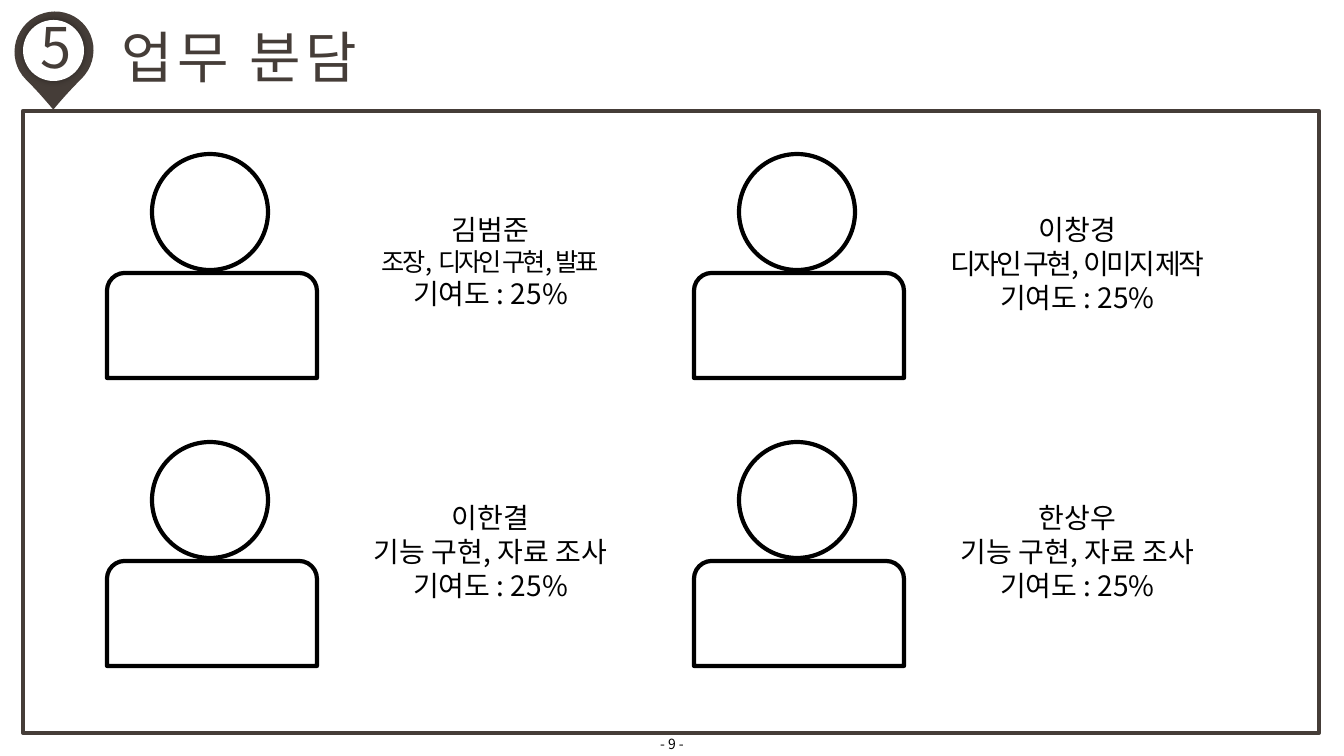
from lxml.etree import SubElement
from pptx import Presentation
from pptx.dml.color import RGBColor
from pptx.enum.shapes import MSO_SHAPE
from pptx.enum.text import MSO_ANCHOR, MSO_AUTO_SIZE, PP_ALIGN
from pptx.oxml.ns import qn
from pptx.util import Pt

PX = 914400 / 100.8
FONT = "Noto Sans CJK KR"
BROWN, BLACK, WHITE = "453D38", "000000", "FFFFFF"


def add_outline(kind, bounds, fill=None, line=None):
    """Add a shape at pixel bounds with an optional fill and 3 pt line."""
    shape = slide.shapes.add_shape(kind, *[round(v * PX) for v in bounds])
    shape.shadow.inherit = False
    if fill:
        shape.fill.solid()
        shape.fill.fore_color.rgb = RGBColor.from_string(fill)
    else:
        shape.fill.background()
    if line:
        shape.line.color.rgb = RGBColor.from_string(line)
        shape.line.width = Pt(3)
    else:
        shape.line.fill.background()
    return shape


def write(box, bounds, lines, color=BLACK, wrap=True):
    """Place a text box and fill it with (text, size, letter spacing) lines."""
    box.left, box.top, box.width, box.height = [round(v * PX) for v in bounds]
    frame = box.text_frame
    frame.word_wrap = wrap
    frame.auto_size = MSO_AUTO_SIZE.SHAPE_TO_FIT_TEXT
    frame.vertical_anchor = MSO_ANCHOR.TOP
    frame.text = "\n".join(text for text, size, spacing in lines)
    for para, (text, size, spacing) in zip(frame.paragraphs, lines):
        para.alignment = PP_ALIGN.CENTER
        span = para.runs[0]
        span.font.size = Pt(size)
        span.font.name = FONT
        span.font.color.rgb = RGBColor.from_string(color)
        properties = span.font._element
        properties.set("spc", str(spacing * 100))
        SubElement(properties, qn("a:ea"), typeface=FONT)


deck = Presentation()
deck.slide_width, deck.slide_height = round(1344 * PX), round(756 * PX)
slide = deck.slides.add_slide(deck.slide_layouts[5])

# Numbered pin and frame
pin = add_outline(MSO_SHAPE.TEAR, (14, 12, 80, 78), fill=BROWN)
pin.adjustments[0] = 1.05
pin.rotation = 135
pin_disc = add_outline(MSO_SHAPE.OVAL, (23, 20, 61, 61), fill=WHITE)
effects = pin_disc._element.spPr.find(qn("a:effectLst"))
shadow = SubElement(effects, qn("a:outerShdw"), blurRad=str(Pt(5)), dist="0", dir="0")
shadow_color = SubElement(shadow, qn("a:srgbClr"), val=BLACK)
SubElement(shadow_color, qn("a:alpha"), val="40000")
add_outline(MSO_SHAPE.RECTANGLE, (23, 111, 1296, 622), line=BROWN)

write(slide.shapes.title, (98, 17, 283, 78), [("업무 분담", 40, 3)], BROWN, wrap=False)
number = slide.shapes.add_textbox(0, 0, 0, 0)
write(number, (29, 8, 55, 77), [("5", 40, 3)], BROWN, wrap=False)

# Team members, two per row: name, duty, duty size, duty letter spacing
members = [
    ("김범준", "조장,  디자인 구현, 발표", 18, -2),
    ("이창경", "디자인 구현, 이미지 제작", 20, -2),
    ("이한결", "기능 구현, 자료 조사", 20, 0),
    ("한상우", "기능 구현, 자료 조사", 20, 0),
]
for index, (name, duty, size, spacing) in enumerate(members):
    row, column = divmod(index, 2)
    left, top = 107 + column * 587, 154 + row * 288
    add_outline(MSO_SHAPE.OVAL, (left + 45, top, 116, 116), line=BLACK)
    body = add_outline(MSO_SHAPE.ROUND_2_SAME_RECTANGLE,
                       (left, top + 119, 210, 105), line=BLACK)
    body.adjustments[0] = 0.17
    lines = [(name, 20, 0), (duty, size, spacing), ("기여도 : 25%", 20, 0)]
    write(slide.shapes.add_textbox(0, 0, 0, 0), (left + 219, top + 54, 329, 110), lines)

page_number = slide.shapes.add_textbox(0, 0, 0, 0)
write(page_number, (209, 731, 926, 26), [("- 9 -", 10, 0)])

deck.save("out.pptx")
